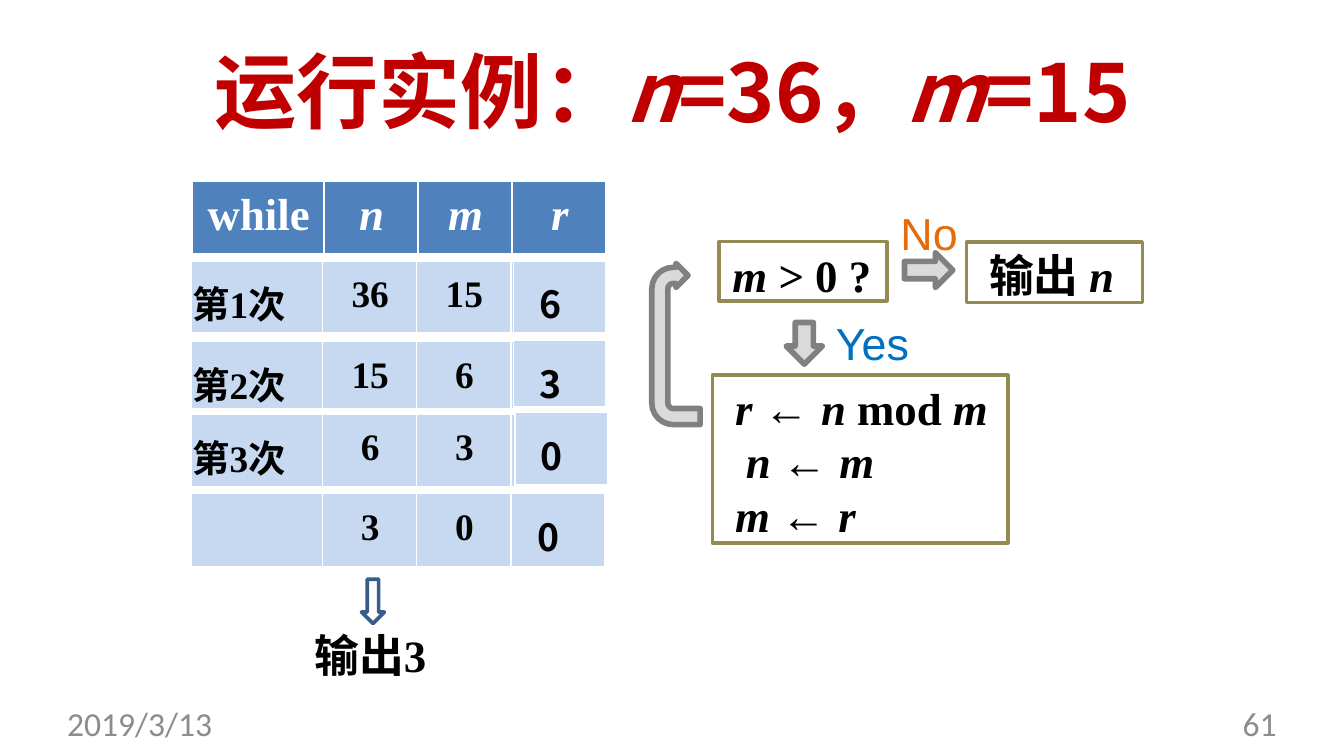
import dataclasses
import math

import lxml.etree
import pptx
import pptx.dml.color
import pptx.enum.shapes
import pptx.enum.text
import pptx.oxml.ns
import pptx.util

Inches = pptx.util.Inches
Align = pptx.enum.text.PP_ALIGN
Preset = pptx.enum.shapes.MSO_SHAPE
qn = pptx.oxml.ns.qn


@dataclasses.dataclass(frozen=True)
class Theme:
    red: str = "C00000"
    black: str = "000000"
    white: str = "FFFFFF"
    header: str = "4F81BD"
    cell: str = "C6D9F1"
    box_line: str = "948A54"
    arrow_fill: str = "DADADA"
    arrow_line: str = "808080"
    output_arrow: str = "385D8A"
    yes: str = "0070C0"
    no: str = "E46C0A"
    footer: str = "8C8C8C"
    title_size: int = 44
    body_size: int = 24
    cell_size: int = 20
    footer_size: int = 18
    cjk: str = "Noto Sans CJK SC"
    serif: str = "Times New Roman"
    sans: str = "Arial"
    footer_font: str = "Calibri"


theme = Theme()


def write_text(frame, paragraphs, *, size=theme.body_size, color=theme.black,
               bold=True, font=theme.serif, align=Align.LEFT, indents=()):
    for index, runs in enumerate(paragraphs):
        paragraph = frame.paragraphs[0] if index == 0 else frame.add_paragraph()
        paragraph.alignment = align
        if indents:
            paragraph._p.get_or_add_pPr().set("marL", str(Inches(indents[index])))
        for text in runs:
            run = paragraph.add_run()
            run.text = text
            is_cjk = any(ord(letter) > 0x2E80 for letter in text)
            name = theme.cjk if is_cjk else theme.sans if "←" in text else font
            run.font.name = name
            run.font.size = pptx.util.Pt(size)
            run.font.bold = bold
            run.font.italic = text.strip() in ("n", "m", "r")
            run.font.color.rgb = pptx.dml.color.RGBColor.from_string(color)
            east_asian = lxml.etree.SubElement(run._r.get_or_add_rPr(), qn("a:ea"))
            east_asian.set("typeface", name)


def format_shape(shape, fill, line, width):
    shape.shadow.inherit = False
    if fill:
        shape.fill.solid()
        shape.fill.fore_color.rgb = pptx.dml.color.RGBColor.from_string(fill)
    else:
        shape.fill.background()
    shape.line.color.rgb = pptx.dml.color.RGBColor.from_string(line)
    shape.line.width = pptx.util.Pt(width)


presentation = pptx.Presentation()
presentation.slide_width = Inches(10)
presentation.slide_height = Inches(10) * 9 // 16
slide = presentation.slides.add_slide(presentation.slide_layouts[5])
shapes = slide.shapes

title = shapes.title
title.left, title.top, title.width, title.height = map(Inches, (0.5, 0.29, 9, 0.75))
labels = [
    (title, ["运行实例：", "n", "=36，", "m", "=15"],
     dict(size=theme.title_size, color=theme.red, font=theme.cjk, align=Align.CENTER)),
]

footer = dict(size=theme.footer_size, color=theme.footer, bold=False, font=theme.footer_font)
for position, runs, style in [
    ((6.21, 2.34, 0.81, 0.42), ["Yes"], dict(color=theme.yes, bold=False, font=theme.sans)),
    ((6.69, 1.52, 0.53, 0.42), ["No"], dict(color=theme.no, bold=False, font=theme.sans)),
    ((2.33, 4.66, 1.14, 0.42), ["输出", "3"], {}),
    ((0.5, 5.23, 2.3, 0.28), ["2019/3/13"], footer),
    ((7.2, 5.23, 2.3, 0.28), ["61"], dict(footer, align=Align.RIGHT)),
]:
    labels.append((shapes.add_textbox(*map(Inches, position)), runs, style))

for label, runs, style in labels:
    frame = label.text_frame
    frame.word_wrap = True
    frame.auto_size = pptx.enum.text.MSO_AUTO_SIZE.NONE
    frame.vertical_anchor = pptx.enum.text.MSO_ANCHOR.TOP
    is_footer = style.get("size") == theme.footer_size
    frame.margin_right = frame.margin_bottom = 0
    frame.margin_left = frame.margin_top = Inches(0 if is_footer else 0.01)
    write_text(frame, [runs], **style)

for position, paragraphs, indents in [
    ((5.3, 2.79, 2.2, 1.25),
     [["r ", "← ", "n ", "mod ", "m"], ["n ", "← ", "m"], ["m ", "← ", "r"]],
     (0.17, 0.25, 0.17)),
    ((5.35, 1.8, 1.25, 0.44), [["m ", "> 0 ?"]], (0.1,)),
    ((7.19, 1.8, 1.31, 0.45), [["输出 ", "n"]], (0.17,)),
]:
    box = shapes.add_shape(Preset.RECTANGLE, *map(Inches, position))
    format_shape(box, None, theme.box_line, 1.75)
    frame = box.text_frame
    frame.word_wrap = True
    frame.vertical_anchor = pptx.enum.text.MSO_ANCHOR.TOP
    frame.margin_left = frame.margin_right = frame.margin_bottom = 0
    frame.margin_top = Inches(0.04)
    write_text(frame, paragraphs, indents=indents)

for preset, position, fill, line, width in [
    (Preset.RIGHT_ARROW, (6.73, 1.88, 0.36, 0.26), theme.arrow_fill, theme.arrow_line, 3),
    (Preset.DOWN_ARROW, (5.85, 2.4, 0.27, 0.31), theme.arrow_fill, theme.arrow_line, 3),
    (Preset.DOWN_ARROW, (2.69, 4.31, 0.17, 0.33), None, theme.output_arrow, 1.98),
]:
    arrow = shapes.add_shape(preset, *map(Inches, position))
    format_shape(arrow, fill, line, width)

angles = [math.radians(step * 15) for step in range(7)]
outer, inner = [
    [(5.01 - radius * math.sin(angle), 2.15 - radius * math.cos(angle)) for angle in angles]
    for radius in (0.16, 0.04)
]
outer_lower, inner_lower = [[(x, 5.15 - y) for x, y in bend] for bend in (outer, inner)]
head = [(5.03, 2.11), (5.03, 2.14), (5.12, 2.05), (5.03, 1.96), (5.03, 1.99)]
outline = (outer + outer_lower[::-1] + [(5.21, 3.16), (5.21, 3.04)]
           + inner_lower + inner[::-1] + head)
points = [(Inches(x), Inches(y)) for x, y in outline]
builder = shapes.build_freeform(*points[0])
builder.add_line_segments(points[1:], close=True)
format_shape(builder.convert_to_shape(), theme.arrow_fill, theme.arrow_line, 3)

columns = (0.98, 0.7, 0.7, 0.7)
tables = [(1.43, 1.35, 0.56, columns, [["while"], ["n"], ["m"], ["r"]])]
for number, (top, n, m, r, r_left, r_top) in enumerate([
    (1.92, "36", "15", "6", 3.82, 1.92),
    (2.52, "15", "6", "3", 3.82, 2.51),
    (3.06, "6", "3", "0", 3.83, 3.05),
], start=1):
    tables.append((1.42, top, 0.58, columns, [["第", str(number), "次"], [n], [m], []]))
    tables.append((r_left, r_top, 0.58, (0.69,), [[r]]))
tables.append((1.42, 3.65, 0.58, columns, [[], ["3"], ["0"], ["0"]]))

for left, top, height, widths, cells in tables:
    is_header = cells[0] == ["while"]
    is_last = top == 3.65
    table = shapes.add_table(1, len(widths), Inches(left), Inches(top),
                             Inches(sum(widths)), Inches(height)).table
    table.first_row = table.horz_banding = False
    table.rows[0].height = Inches(height)
    border_widths = {"lnL": 1, "lnR": 1, "lnT": 1 if is_header else 4.25,
                     "lnB": 3 if is_last else 4.25}
    for index, (width, runs) in enumerate(zip(widths, cells)):
        table.columns[index].width = Inches(width)
        cell = table.cell(0, index)
        is_r = not is_header and index == len(widths) - 1
        is_label = not is_header and len(runs) == 3
        cell.margin_left = Inches(0.01)
        cell.margin_bottom = 0
        cell.margin_right = Inches(0.15 if is_r else 0)
        cell.margin_top = Inches(0.07 if is_header else 0.13 if is_r or is_label else 0.12)
        for tag, border_width in border_widths.items():
            border = lxml.etree.SubElement(cell._tc.get_or_add_tcPr(), qn("a:" + tag))
            border.set("w", str(pptx.util.Pt(border_width)))
            border_fill = lxml.etree.SubElement(border, qn("a:solidFill"))
            lxml.etree.SubElement(border_fill, qn("a:srgbClr")).set("val", theme.white)
        cell.fill.solid()
        cell.fill.fore_color.rgb = pptx.dml.color.RGBColor.from_string(
            theme.header if is_header else theme.cell)
        write_text(cell.text_frame, [runs],
                   size=theme.body_size if is_header else theme.cell_size,
                   color=theme.white if is_header else theme.black,
                   font=theme.cjk if is_r else theme.serif,
                   align=Align.LEFT if is_label else Align.CENTER)

presentation.save("out.pptx")
